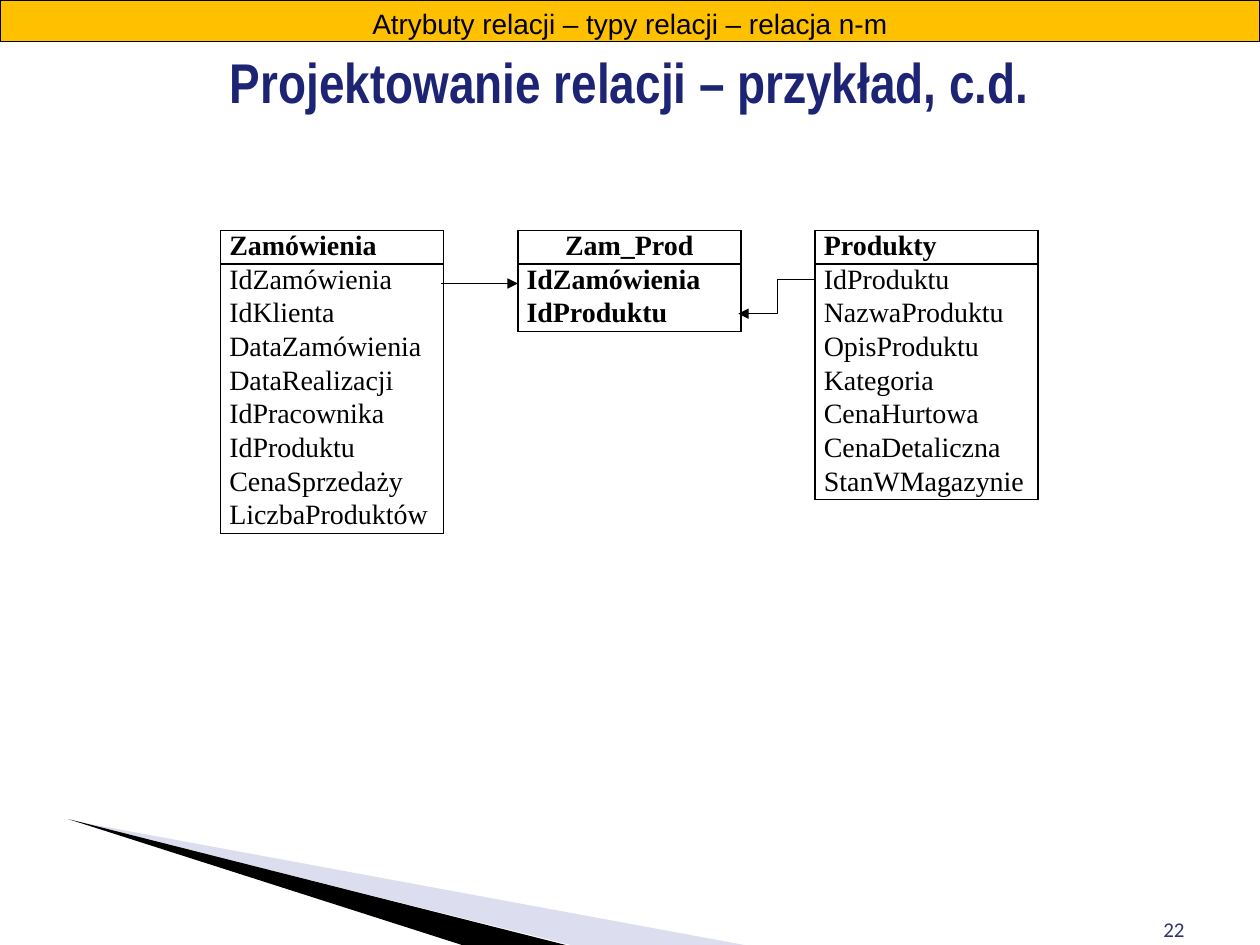
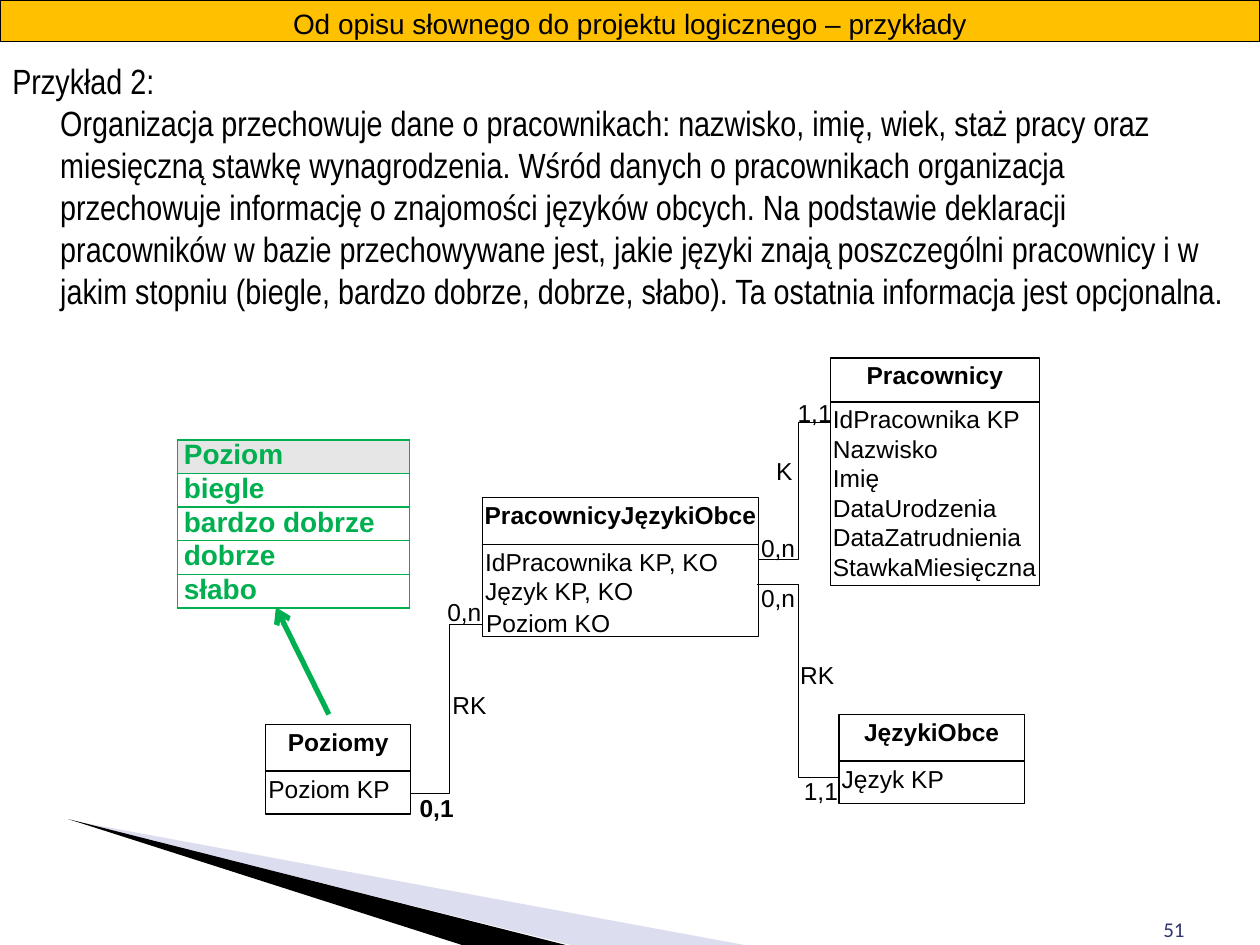
from dataclasses import dataclass

from lxml import etree
from pptx import Presentation
from pptx.dml.color import RGBColor
from pptx.enum.shapes import MSO_CONNECTOR as Connector, MSO_SHAPE as Shape
from pptx.enum.text import MSO_ANCHOR as Anchor, PP_ALIGN as Align
from pptx.oxml.ns import qn
from pptx.util import Inches, Pt


@dataclass(frozen=True)
class Theme:
    black: str = "000000"
    white: str = "FFFFFF"
    band: str = "FFC000"
    title: str = "1D2474"
    number: str = "30356E"
    wedge: str = "A8ABD5"
    green: str = "00B050"
    header: str = "E6E6E6"
    sans: str = "Arial"
    narrow: str = "Arial Narrow"
    serif: str = "Times New Roman"
    footer: str = "Calibri"
    title_size: int = 32
    body_size: int = 20
    band_size: int = 16
    table_size: int = 16
    diagram_size: int = 14
    number_size: int = 12


NO_STYLE = "{2D5ABB26-0587-4C30-8999-92F81FD0307C}"


class Deck:
    def __init__(self, theme):
        self.theme = theme
        self.presentation = Presentation()
        self.presentation.slide_width = Inches(10)
        self.presentation.slide_height = Inches(7.5)
        self.slide = None

    def new_slide(self, band_text, number):
        theme = self.theme
        self.slide = self.presentation.slides.add_slide(self.presentation.slide_layouts[6])
        self.outline([(0.55, 6.51), (5.96, 7.51), (4.57, 7.51)], theme.wedge, 40)
        self.outline([(0.54, 6.5), (4.57, 7.52), (3.73, 7.52)], theme.black)
        self.text([number], 7.17, 7, 2.33, 0.52, theme.number_size, theme.footer,
                  theme.number, align=Align.RIGHT, anchor=Anchor.BOTTOM, insets=(0.1, 0.05))
        self.box([band_text], 0, 0, 10, 0.33, theme.band, theme.band_size,
                 align=Align.CENTER, insets=(0.1, 0.05))

    def outline(self, points, color, alpha=None):
        builder = self.slide.shapes.build_freeform(
            *(Inches(value) for value in points[0]), scale=1.0)
        builder.add_line_segments([(Inches(x), Inches(y)) for x, y in points[1:]])
        shape = builder.convert_to_shape()
        shape.shadow.inherit = False
        shape.fill.solid()
        shape.fill.fore_color.rgb = RGBColor.from_string(color)
        shape.line.fill.background()
        if alpha:
            color_element = shape.fill._xPr.find(qn("a:solidFill"))[0]
            etree.SubElement(color_element, qn("a:alpha"), val=str(alpha * 1000))

    def style(self, paragraph, size, font, color, bold=False, align=Align.LEFT):
        paragraph.alignment = align
        paragraph.font.size = Pt(size)
        paragraph.font.name = font
        paragraph.font.bold = bold
        paragraph.font.color.rgb = RGBColor.from_string(color)

    def fill_text(self, frame, lines, size, font, color, bold=False, align=Align.LEFT,
                  anchor=Anchor.TOP, insets=(0, 0)):
        frame.word_wrap = True
        frame.vertical_anchor = anchor
        frame.margin_left = frame.margin_right = Inches(insets[0])
        frame.margin_top = frame.margin_bottom = Inches(insets[1])
        for index, line in enumerate(lines):
            paragraph = frame.add_paragraph() if index else frame.paragraphs[0]
            paragraph.text = line
            self.style(paragraph, size, font, color, bold, align)

    def text(self, lines, left, top, width, height, size, font, color, **options):
        shape = self.slide.shapes.add_textbox(
            Inches(left), Inches(top), Inches(width), Inches(height))
        self.fill_text(shape.text_frame, lines, size, font, color, **options)
        return shape.text_frame

    def label(self, words, left, top, width=0.55, **options):
        theme = self.theme
        self.text([words], left, top, width, 0.28, theme.diagram_size, theme.sans,
                  theme.black, **options)

    def box(self, lines, left, top, width, height, fill, size, **options):
        shape = self.slide.shapes.add_shape(
            Shape.RECTANGLE, Inches(left), Inches(top), Inches(width), Inches(height))
        shape.shadow.inherit = False
        shape.fill.solid()
        shape.fill.fore_color.rgb = RGBColor.from_string(fill)
        shape.line.color.rgb = RGBColor.from_string(self.theme.black)
        shape.line.width = Pt(0.75)
        self.fill_text(shape.text_frame, lines, size, self.theme.sans, self.theme.black, **options)

    def entity(self, name, fields, left, top, width, header_height, body_height):
        theme = self.theme
        self.box([name], left, top, width, header_height, theme.white, theme.diagram_size,
                 bold=True, align=Align.CENTER, insets=(0, 0.02))
        self.box(fields, left, top + header_height, width, body_height, theme.white,
                 theme.diagram_size, insets=(0.02, 0.02))

    def connector(self, start, end, kind=Connector.ELBOW, color=None, width=0.75, arrow=None):
        line = self.slide.shapes.add_connector(
            kind, *(Inches(value) for value in (*start, *end)))
        line.line.color.rgb = RGBColor.from_string(color or self.theme.black)
        line.line.width = Pt(width)
        if arrow:
            etree.SubElement(line.line._get_or_add_ln(), qn("a:tailEnd"), type=arrow)
        etree.SubElement(line._element.spPr, qn("a:effectLst"))

    def table(self, left, top, column_widths, row_height, row_count):
        table = self.slide.shapes.add_table(
            row_count, len(column_widths), Inches(left), Inches(top),
            Inches(sum(column_widths)), Inches(row_height * row_count)).table
        table.first_row = table.horz_banding = False
        table._tbl.tblPr.find(qn("a:tableStyleId")).text = NO_STYLE
        for column, width in zip(table.columns, column_widths):
            column.width = Inches(width)
        for row in table.rows:
            row.height = Inches(row_height)
        return table

    def cell(self, cell, words, font, color, inset, sides="", fill=None, bold=False,
             align=Align.LEFT):
        cell.margin_left = cell.margin_right = Inches(inset)
        cell.margin_top = cell.margin_bottom = 0
        properties = cell._tc.get_or_add_tcPr()
        for side in sides:
            line = etree.SubElement(properties, qn(f"a:ln{side}"), w=str(Pt(1)))
            solid = etree.SubElement(line, qn("a:solidFill"))
            etree.SubElement(solid, qn("a:srgbClr"), val=color)
        if fill:
            cell.fill.solid()
            cell.fill.fore_color.rgb = RGBColor.from_string(fill)
        else:
            cell.fill.background()
        paragraph = cell.text_frame.paragraphs[0]
        size = self.theme.table_size
        if words:
            paragraph.text = words
            self.style(paragraph, size, font, color, bold, align)
        else:
            etree.SubElement(paragraph._p, qn("a:endParaRPr"), sz=str(size * 100))


def build_order_relation(deck):
    theme = deck.theme
    deck.new_slide("Atrybuty relacji – typy relacji – relacja n-m", "22")
    deck.text(["Projektowanie relacji – przykład, c.d."], 0, 0.33, 10, 0.58, theme.title_size,
              theme.narrow, theme.title, bold=True, align=Align.CENTER, insets=(0.05, 0.05))

    entities = {
        0: ["Zamówienia", "IdZamówienia", "IdKlienta", "DataZamówienia", "DataRealizacji",
            "IdPracownika", "IdProduktu", "CenaSprzedaży", "LiczbaProduktów"],
        2: ["Zam_Prod", "IdZamówienia", "IdProduktu"],
        4: ["Produkty", "IdProduktu", "NazwaProduktu", "OpisProduktu", "Kategoria",
            "CenaHurtowa", "CenaDetaliczna", "StanWMagazynie"],
    }
    row_count = max(map(len, entities.values()))
    table = deck.table(1.75, 1.83, [1.77, 0.59, 1.77, 0.59, 1.77], 2.4 / row_count, row_count)
    for column in range(5):
        lines = entities.get(column, [])
        for row in range(row_count):
            words = lines[row] if row < len(lines) else ""
            sides = "LR" if words else ""
            if words and row == 0:
                sides = "LRTB"
            elif row == len(lines) - 1:
                sides = "LRB"
            deck.cell(table.cell(row, column), words, theme.serif, theme.black, 0.07, sides,
                      bold=row == 0 or column == 2,
                      align=Align.CENTER if (row, column) == (0, 2) else Align.LEFT)

    deck.connector((3.5, 2.25), (4.11, 2.25), Connector.STRAIGHT, width=1, arrow="triangle")
    deck.connector((6.48, 2.22), (5.86, 2.49), arrow="triangle")


def build_employee_languages(deck):
    theme = deck.theme
    deck.new_slide("Od opisu słownego do projektu logicznego – przykłady", "51")
    deck.connector((6.66, 3.35), (6.01, 4.44), width=0.5)
    deck.connector((3.26, 6.3), (3.88, 4.96))

    deck.entity("Pracownicy", ["IdPracownika KP", "Nazwisko", "Imię", "DataUrodzenia",
                               "DataZatrudnienia", "StawkaMiesięczna"],
                6.59, 2.84, 1.66, 0.35, 1.46)
    deck.entity("PracownicyJęzykiObce", ["IdPracownika KP, KO", "Język KP, KO"],
                3.83, 3.95, 2.19, 0.37, 0.73)
    deck.entity("Poziomy", ["Poziom KP"], 2.11, 5.75, 1.15, 0.37, 0.34)
    deck.entity("JęzykiObce", ["Język KP"], 6.66, 5.67, 1.47, 0.37, 0.34)
    deck.connector((6.66, 6.17), (6.01, 4.64))

    for words, left, top in [("1,1", 6.33, 3.16), ("0,n", 6.04, 4.23), ("K", 6.16, 3.62),
                             ("0,n", 3.55, 4.74), ("RK", 3.59, 5.48), ("0,n", 6.04, 4.63),
                             ("1,1", 6.38, 6.16), ("RK", 6.35, 5.24)]:
        deck.label(words, left, top)
    deck.label("0,1", 3.33, 6.29, bold=True)
    deck.label("Poziom KO", 3.76, 4.78, 2.03, insets=(0.1, 0.05))

    levels = ["Poziom", "biegle", "bardzo dobrze", "dobrze", "słabo"]
    table = deck.table(1.41, 3.49, [1.84], 1.33 / len(levels), len(levels))
    for row, level in enumerate(levels):
        deck.cell(table.cell(row, 0), level, theme.sans, theme.green, 0.05, "LRTB",
                  fill=None if row else theme.header, bold=True)
    deck.connector((2.61, 5.67), (2.19, 4.82), Connector.STRAIGHT, theme.green, 3, "arrow")

    frame = deck.text(
        ["Przykład 2:",
         "Organizacja przechowuje dane o pracownikach: nazwisko, imię, wiek, staż pracy oraz "
         "miesięczną stawkę wynagrodzenia. Wśród danych o pracownikach organizacja "
         "przechowuje informację o znajomości języków obcych. Na podstawie deklaracji "
         "pracowników w bazie przechowywane jest, jakie języki znają poszczególni pracownicy "
         "i w jakim stopniu (biegle, bardzo dobrze, dobrze, słabo). Ta ostatnia informacja "
         "jest opcjonalna."],
        0, 0.42, 9.83, 1.75, theme.body_size, theme.narrow, theme.black, insets=(0.1, 0.05))
    frame.paragraphs[1]._p.get_or_add_pPr().set("marL", str(Inches(0.38)))


def main():
    deck = Deck(Theme())
    build_order_relation(deck)
    build_employee_languages(deck)
    deck.presentation.save("out.pptx")


if __name__ == "__main__":
    main()
